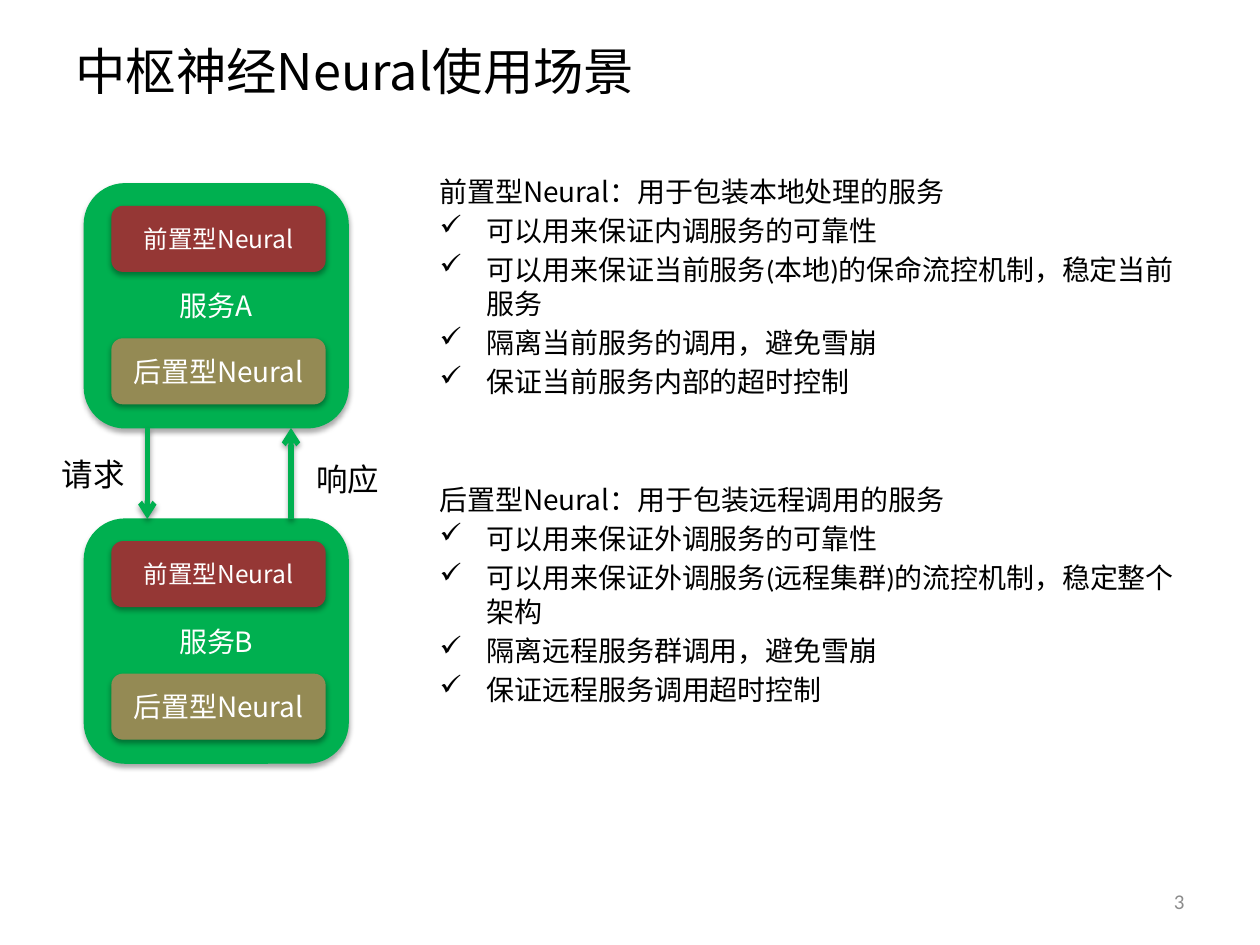
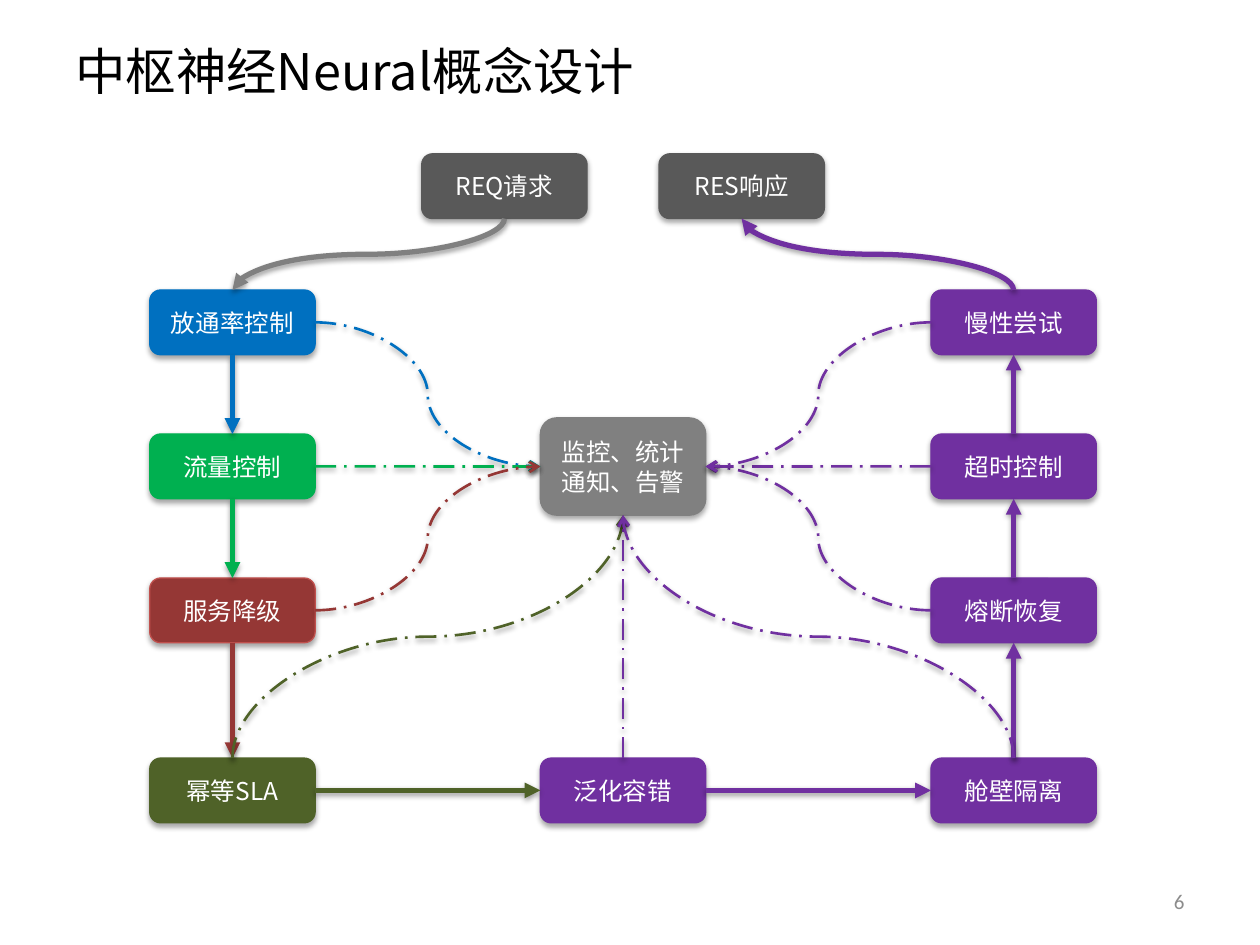
"""Build two slides on the use and the concept of Neural."""
from dataclasses import dataclass

from lxml import etree
from pptx import Presentation
from pptx.dml.color import RGBColor
from pptx.enum.dml import MSO_LINE as Dash
from pptx.enum.shapes import MSO_CONNECTOR as Connector, MSO_SHAPE as Shape
from pptx.enum.text import MSO_ANCHOR as Anchor, PP_ALIGN as Align
from pptx.oxml.ns import qn
from pptx.util import Pt


@dataclass(frozen=True)
class Theme:
    cjk: str = "Noto Sans CJK SC"
    latin: str = "Calibri"
    black: str = "000000"
    white: str = "FFFFFF"
    number: str = "8C8C8C"
    green: str = "00B050"
    red: str = "953735"
    red_edge: str = "C0504D"
    khaki: str = "948A54"
    blue: str = "0070C0"
    purple: str = "7030A0"
    olive: str = "4F6228"
    gray: str = "808080"
    charcoal: str = "595959"
    title_size: float = 28.8
    label_size: float = 18
    body_size: float = 16
    node_size: float = 14
    number_size: float = 12
    line_factor: float = 1.21
    edge: float = 0.75
    flow: float = 3
    report: float = 1.5


theme = Theme()


def add_box(slide, bounds, lines, size, fill=None, edge=None, color=theme.black,
            font=theme.cjk, align=Align.LEFT, anchor=Anchor.MIDDLE, wrap=True):
    lengths = [Pt(value) for value in bounds]
    if fill:
        shape = slide.shapes.add_shape(Shape.ROUNDED_RECTANGLE, *lengths)
        shape.fill.solid()
        shape.fill.fore_color.rgb = RGBColor.from_string(fill)
        shape.line.color.rgb = RGBColor.from_string(edge or fill)
        shape.line.width = Pt(theme.edge)
        color, align = theme.white, Align.CENTER
    else:
        shape = slide.shapes.add_textbox(*lengths)
    frame = shape.text_frame
    frame.text = "\n".join(lines)
    frame.word_wrap = wrap
    frame.vertical_anchor = anchor
    for paragraph in frame.paragraphs:
        paragraph.alignment = align
        if len(lines) > 1:
            paragraph.line_spacing = Pt(size * theme.line_factor)
        paragraph.font.size = Pt(size)
        paragraph.font.name = font
        paragraph.font.color.rgb = RGBColor.from_string(color)
        defaults = paragraph._p.pPr.find(qn("a:defRPr"))
        etree.SubElement(defaults, qn("a:ea"), typeface=theme.cjk)
    return shape


def add_arrow(slide, kind, start, end, color, width, head, upright=False):
    (x1, y1), (x2, y2) = start, end
    if upright:
        middle_x, middle_y = (x1 + x2) / 2, (y1 + y2) / 2
        half_x, half_y = (x2 - x1) / 2, (y2 - y1) / 2
        x1, y1 = middle_x - half_y, middle_y + half_x
        x2, y2 = middle_x + half_y, middle_y - half_x
    connector = slide.shapes.add_connector(kind, Pt(x1), Pt(y1), Pt(x2), Pt(y2))
    if upright:
        connector._element.spPr.find(qn("a:xfrm")).set("rot", "5400000")
    connector.line.color.rgb = RGBColor.from_string(color)
    connector.line.width = Pt(width)
    if kind == Connector.CURVE and width == theme.report:
        connector.line.dash_style = Dash.LONG_DASH_DOT
    line = connector._element.spPr.find(qn("a:ln"))
    etree.SubElement(line, qn("a:tailEnd"), type=head)
    return connector


presentation = Presentation()
presentation.slide_width, presentation.slide_height = Pt(720), Pt(540)

slides = []
for title, number in (("中枢神经Neural使用场景", "3"), ("中枢神经Neural概念设计", "6")):
    slide = presentation.slides.add_slide(presentation.slide_layouts[6])
    add_box(slide, (36, 21.6, 648, 36.7), [title], theme.title_size)
    add_box(slide, (516, 500.5, 168, 28.8), [number], theme.number_size,
            color=theme.number, font=theme.latin, align=Align.RIGHT)
    slides.append(slide)
usage, concept = slides

service_top, service_height, service_pitch = 105, 139.5, 191.6
for index, service in enumerate(("服务A", "服务B")):
    top = service_top + index * service_pitch
    add_box(usage, (48.2, top, 150.8, service_height), [service], theme.body_size, theme.green)
    add_box(usage, (64, top + 13, 121.7, 37), ["前置型Neural"], theme.node_size, theme.red)
    add_box(usage, (64, top + 88.7, 121.7, 37), ["后置型Neural"], theme.body_size, theme.khaki)

upper, lower = service_top + service_height, service_top + service_pitch
for x, start, end in ((84.2, upper, lower), (166.3, lower, upper)):
    add_arrow(usage, Connector.STRAIGHT, (x, start), (x, end), theme.green, theme.flow, "arrow")
for left, top, label in ((28.1, 256.3, "请求"), (173.5, 259.2, "响应")):
    add_box(usage, (left, top, 51, 29), [label], theme.label_size,
            font=theme.latin, anchor=Anchor.TOP, wrap=False)

explanations = [
    "前置型Neural：用于包装本地处理的服务",
    "可以用来保证内调服务的可靠性",
    "可以用来保证当前服务(本地)的保命流控机制，稳定当前服务",
    "隔离当前服务的调用，避免雪崩",
    "保证当前服务内部的超时控制",
    "后置型Neural：用于包装远程调用的服务",
    "可以用来保证外调服务的可靠性",
    "可以用来保证外调服务(远程集群)的流控机制，稳定整个架构",
    "隔离远程服务群调用，避免雪崩",
    "保证远程服务调用超时控制",
]
body = add_box(usage, (244.1, 95.8, 439.9, 356.4), explanations, theme.body_size,
               anchor=Anchor.TOP)
for index, paragraph in enumerate(body.text_frame.paragraphs):
    if index % 5 == 0:
        paragraph.space_before = Pt(48 if index else 0)
        continue
    paragraph.space_before = Pt(3)
    paragraph.font.name = theme.latin
    properties = paragraph._p.pPr
    properties.set("marL", str(Pt(27)))
    properties.set("indent", str(Pt(-27)))
    bullet = etree.Element(qn("a:buChar"), char="✓")
    properties.find(qn("a:defRPr")).addprevious(bullet)

node_width, node_height = 94.5, 37
left_column, middle_column, right_column = (85.6 + 223.2 * index for index in range(3))
first_row, second_row, third_row, last_row = 165.7, 248, 330.3, 433.2
nodes = [
    ("REQ请求", 241, 87.9, theme.charcoal),
    ("RES响应", 376.6, 87.9, theme.charcoal),
    ("放通率控制", left_column, first_row, theme.blue),
    ("流量控制", left_column, second_row, theme.green),
    ("服务降级", left_column, third_row, theme.red),
    ("幂等SLA", left_column, last_row, theme.olive),
    ("泛化容错", middle_column, last_row, theme.purple),
    ("舱壁隔离", right_column, last_row, theme.purple),
    ("熔断恢复", right_column, third_row, theme.purple),
    ("超时控制", right_column, second_row, theme.purple),
    ("慢性尝试", right_column, first_row, theme.purple),
]
boxes = {}
for name, left, top, color in nodes:
    edge = theme.red_edge if name == "服务降级" else color
    boxes[name] = add_box(concept, (left, top, node_width, node_height), [name],
                          theme.node_size, color, edge)
boxes["监控"] = add_box(concept, (middle_column, 238.8, node_width, 55.6),
                      ["监控、统计", "通知、告警"], theme.node_size, theme.gray)

colors = {name: color for name, left, top, color in nodes}
sides = {}
for name, box in boxes.items():
    left, top, width, height = box.left.pt, box.top.pt, box.width.pt, box.height.pt
    sides[name] = [(left + width / 2, top), (left, top + height / 2),
                   (left + width / 2, top + height), (left + width, top + height / 2)]

steps = [name for name, *rest in nodes[2:]]
for index, (source, target) in enumerate(zip(steps, steps[1:])):
    source_side, target_side = (2, 0) if index < 3 else (3, 1) if index < 5 else (0, 2)
    connector = add_arrow(concept, Connector.STRAIGHT, sides[source][source_side],
                          sides[target][target_side], colors[source], theme.flow, "triangle")
    connector.begin_connect(boxes[source], source_side)
    connector.end_connect(boxes[target], target_side)

for index, source in enumerate(steps):
    source_side, target_side = (3, 1) if index < 3 else (0, 2) if index < 6 else (1, 3)
    add_arrow(concept, Connector.CURVE, sides[source][source_side], sides["监控"][target_side],
              colors[source], theme.report, "arrow", upright=source_side == 0)

for source, source_side, target, target_side, color in (
        ("REQ请求", 2, "放通率控制", 0, theme.gray),
        ("慢性尝试", 0, "RES响应", 2, theme.purple)):
    add_arrow(concept, Connector.CURVE, sides[source][source_side], sides[target][target_side],
              color, theme.flow, "triangle", upright=True)

presentation.save("out.pptx")
